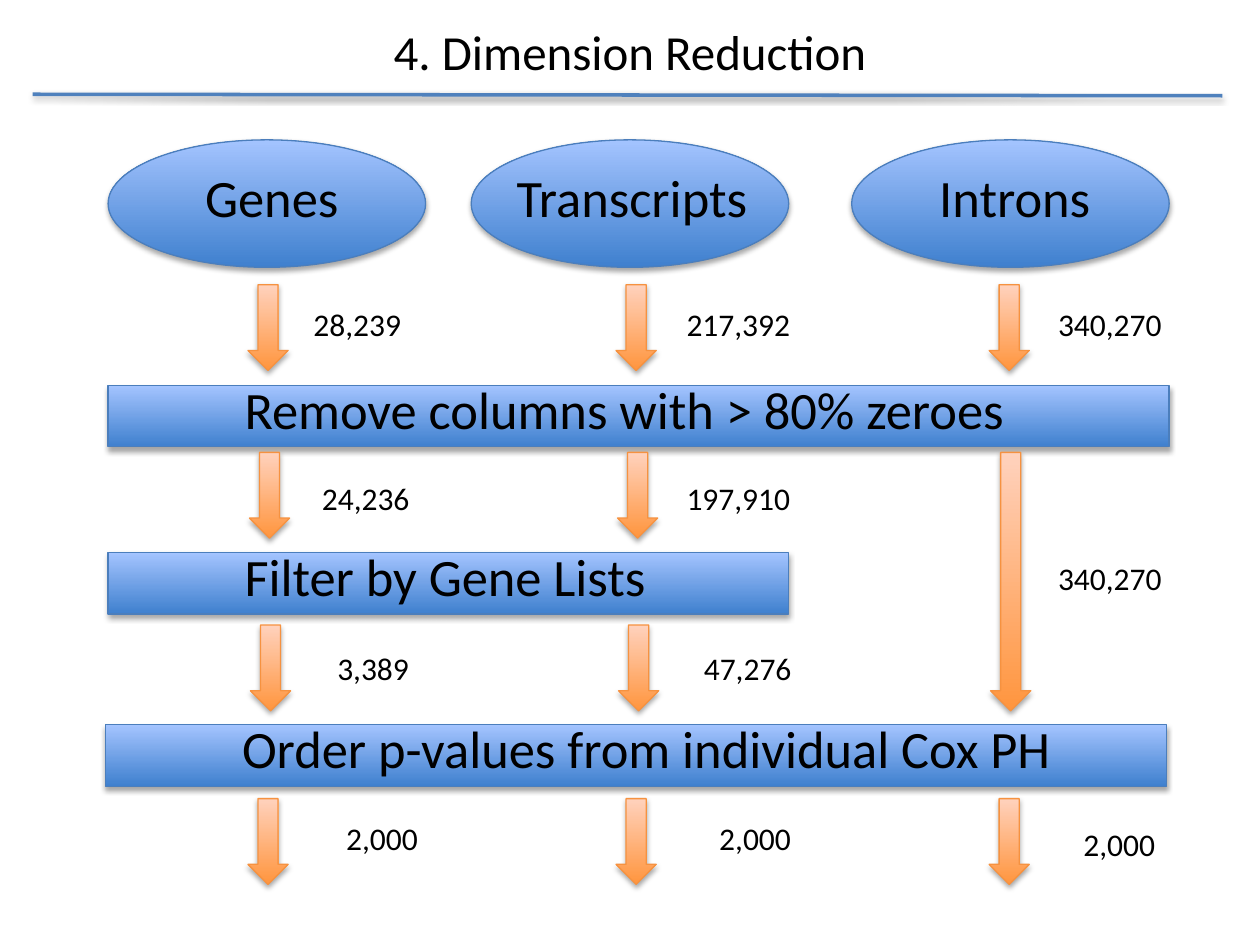
from lxml.etree import SubElement
from pptx import Presentation
from pptx.dml.color import RGBColor
from pptx.enum.shapes import MSO_CONNECTOR, MSO_SHAPE as Preset
from pptx.enum.text import MSO_ANCHOR, MSO_AUTO_SIZE, PP_ALIGN
from pptx.oxml.ns import qn
from pptx.util import Cm, Pt

COLORS = {
    "text": "000000",
    "rule": "4F81BD",
    "step": ("3F80CE", "A4C4FF", "4B7EBC"),
    "flow": ("FF953E", "FFD2BD", "F69240"),
}
LABEL_FRAME = {"word_wrap": False, "auto_size": MSO_AUTO_SIZE.SHAPE_TO_FIT_TEXT}
TITLE_FRAME = {"word_wrap": True, "vertical_anchor": MSO_ANCHOR.MIDDLE}

SOURCE_W, SOURCE_H, SOURCE_TOP = 6.4, 2.57, 2.82
SOURCES = [("Genes", 2.18, 3.23), ("Transcripts", 9.5, 5.31), ("Introns", 17.17, 3.61)]

BAR_H = 1.24
BARS = [
    ("Remove columns with > 80% zeroes", 2.18, 7.77, 21.39, 16.08),
    ("Filter by Gene Lists", 2.18, 11.14, 13.72, 9.27),
    ("Order p-values from individual Cox PH", 2.13, 14.61, 21.39, 17.07),
]

ARROW_W, ARROW_H, LONG_ARROW_H = 0.81, 1.73, 5.21
ARROW_LEFTS = [5.0, 12.42, 19.94]
ARROW_ROWS = [
    (0, 5.74, [ARROW_H] * 3),
    (0.03, 9.12, [ARROW_H, ARROW_H, LONG_ARROW_H]),
    (0.05, 12.6, [ARROW_H] * 2),
    (0, 16.1, [ARROW_H] * 3),
]

COUNT_WIDTHS = {5: 1.98, 6: 2.29, 7: 2.62}
COUNTS = [
    ("28,239", 8.36, 6.02), ("217,392", 16.21, 6.02), ("340,270", 23.7, 6.02),
    ("24,236", 8.53, 9.53), ("197,910", 16.21, 9.53), ("340,270", 23.7, 11.15),
    ("3,389", 8.53, 12.95), ("47,276", 16.23, 12.95),
    ("2,000", 8.71, 16.38), ("2,000", 16.23, 16.38), ("2,000", 23.57, 16.51),
]


def set_all(target, values):
    for name, value in values.items():
        setattr(target, name, value)


def add_shadow(item, distance, opacity):
    effects = SubElement(item.element.spPr, qn("a:effectLst"))
    shadow = SubElement(effects, qn("a:outerShdw"), blurRad=str(Pt(3.1)),
                        dist=str(Pt(distance)), dir="5400000", rotWithShape="0")
    black = SubElement(shadow, qn("a:srgbClr"), val="000000")
    SubElement(black, qn("a:alpha"), val=str(opacity * 1000))


def add_block(slide, preset, box, palette):
    block = slide.shapes.add_shape(preset, *map(Cm, box))
    *stops, outline = COLORS[palette]
    block.fill.gradient()
    block.fill.gradient_angle = 90
    for stop, color in zip(block.fill.gradient_stops, stops):
        stop.color.rgb = RGBColor.from_string(color)
    block.line.color.rgb = RGBColor.from_string(outline)
    block.line.width = Pt(0.75)
    add_shadow(block, 1.8, 35)


def add_text(slide, words, box, size, frame=LABEL_FRAME, align=PP_ALIGN.LEFT):
    text_frame = slide.shapes.add_textbox(*map(Cm, box)).text_frame
    set_all(text_frame, frame)
    paragraph = text_frame.paragraphs[0]
    paragraph.alignment = align
    run = paragraph.add_run()
    run.text = words
    set_all(run.font, {"name": "Calibri", "size": Pt(size)})
    run.font.color.rgb = RGBColor.from_string(COLORS["text"])


def add_rule(slide, *ends):
    rule = slide.shapes.add_connector(MSO_CONNECTOR.STRAIGHT, *map(Cm, ends))
    rule.line.color.rgb = RGBColor.from_string(COLORS["rule"])
    rule.line.width = Pt(2)
    add_shadow(rule, 1.6, 38)


def add_source(slide, name, left, label_w):
    add_block(slide, Preset.OVAL, (left, SOURCE_TOP, SOURCE_W, SOURCE_H), "step")
    label_left = left + (SOURCE_W - label_w) / 2 + 0.12
    add_text(slide, name, (label_left, SOURCE_TOP + 0.38, label_w, 1.54), 30)


def add_bar(slide, step, left, top, width, label_w):
    add_block(slide, Preset.RECTANGLE, (left, top, width, BAR_H), "step")
    add_text(slide, step, (left + 2.5, top - 0.29, label_w, 1.54), 30)


def add_count(slide, count, right, top):
    width = COUNT_WIDTHS[len(count)]
    add_text(slide, count, (right - width, top, width, 1.03), 18)


def main():
    deck = Presentation()
    deck.slide_width, deck.slide_height = Cm(25.4), Cm(19.05)
    slide = deck.slides.add_slide(deck.slide_layouts[6])
    add_text(slide, "4. Dimension Reduction", (1.27, 0.36, 22.86, 1.32), 28,
             TITLE_FRAME, PP_ALIGN.CENTER)
    add_rule(slide, 0.66, 1.9, 24.64, 1.93)
    for source in SOURCES:
        add_source(slide, *source)
    for bar in BARS:
        add_bar(slide, *bar)
    for shift, top, heights in ARROW_ROWS:
        for left, height in zip(ARROW_LEFTS, heights):
            add_block(slide, Preset.DOWN_ARROW, (left + shift, top, ARROW_W, height), "flow")
    for count in COUNTS:
        add_count(slide, *count)
    deck.save("out.pptx")


if __name__ == "__main__":
    main()
